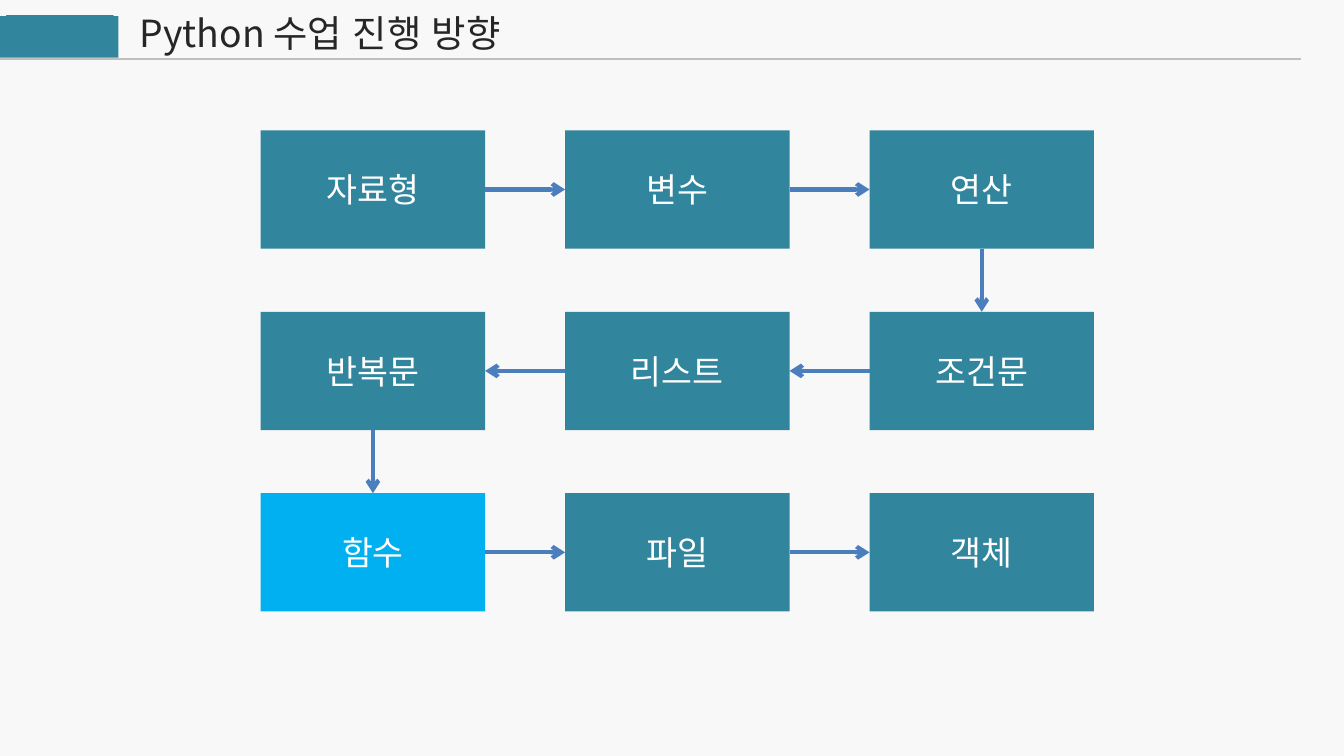
import dataclasses
import itertools

import pptx
import pptx.dml.color
import pptx.enum.lang
import pptx.enum.shapes
import pptx.enum.text
import pptx.oxml
import pptx.oxml.ns
import pptx.util

Inches = pptx.util.Inches
Kind = pptx.enum.shapes.MSO_SHAPE
Link = pptx.enum.shapes.MSO_CONNECTOR
Align = pptx.enum.text.PP_ALIGN
Anchor = pptx.enum.text.MSO_ANCHOR


@dataclasses.dataclass(frozen=True)
class Theme:
    font: str = "Noto Sans CJK KR"
    back: str = "F8F8F8"
    ink: str = "262626"
    white: str = "FFFFFF"
    teal: str = "31859C"
    bright: str = "00B0F0"
    arrow: str = "4B7EBC"
    rule: str = "BFBFBF"
    title: float = 20
    label: float = 18


@dataclasses.dataclass(frozen=True)
class Step:
    text: str
    row: int
    col: int
    fill: str


THEME = Theme()

# Lesson grid
COLS = 3
LEFT, RIGHT, TOP = 1.94, 6.47, 0.97
WIDE, HIGH = 1.67, 0.88
STEP_X, STEP_Y = (RIGHT - LEFT) / (COLS - 1), 1.35
TOPICS = ["자료형", "변수", "연산", "조건문", "리스트", "반복문",
          "함수", "파일", "객체"]
CURRENT = "함수"

# Connection sites of a rectangle
NORTH, WEST, SOUTH, EAST = range(4)


def color(code: str) -> pptx.dml.color.RGBColor:
    return pptx.dml.color.RGBColor.from_string(code)


def write(frame, text: str, size: float, code: str) -> None:
    frame.text = text
    font = frame.paragraphs[0].runs[0].font
    font.name = THEME.font
    font.size = pptx.util.Pt(size)
    font.color.rgb = color(code)
    font.language_id = pptx.enum.lang.MSO_LANGUAGE_ID.KOREAN
    east = pptx.oxml.parse_xml(
        f'<a:ea {pptx.oxml.ns.nsdecls("a")} typeface="{THEME.font}"/>')
    font._element.find(pptx.oxml.ns.qn("a:latin")).addnext(east)


def block(slide, x: float, y: float, w: float, h: float, fill: str):
    shape = slide.shapes.add_shape(
        Kind.RECTANGLE, Inches(x), Inches(y), Inches(w), Inches(h))
    shape.shadow.inherit = False
    shape.fill.solid()
    shape.fill.fore_color.rgb = color(fill)
    shape.line.fill.background()
    return shape


def line(slide, start: tuple, end: tuple, code: str, width: float):
    link = slide.shapes.add_connector(
        Link.STRAIGHT, *(Inches(n) for n in (*start, *end)))
    link.line.color.rgb = color(code)
    link.line.width = pptx.util.Pt(width)
    link._element.spPr.append(pptx.oxml.parse_xml(
        f'<a:effectLst {pptx.oxml.ns.nsdecls("a")}/>'))
    return link


def place(index: int, text: str) -> Step:
    """Rows run left to right and back again."""
    row, col = divmod(index, COLS)
    if row % 2:
        col = COLS - 1 - col
    fill = THEME.bright if text == CURRENT else THEME.teal
    return Step(text, row, col, fill)


def card(slide, step: Step):
    shape = block(slide, LEFT + step.col * STEP_X, TOP + step.row * STEP_Y,
                  WIDE, HIGH, step.fill)
    frame = shape.text_frame
    frame.vertical_anchor = Anchor.MIDDLE
    write(frame, step.text, THEME.label, THEME.white)
    frame.paragraphs[0].alignment = Align.CENTER
    return shape


def arrow(slide, first: Step, second: Step, cards: dict) -> None:
    if first.row != second.row:
        sites = SOUTH, NORTH
    elif first.col < second.col:
        sites = EAST, WEST
    else:
        sites = WEST, EAST
    link = line(slide, (0, 0), (0, 0), THEME.arrow, 2.25)
    link.begin_connect(cards[first], sites[0])
    link.end_connect(cards[second], sites[1])
    link.line._ln.append(pptx.oxml.parse_xml(
        f'<a:tailEnd {pptx.oxml.ns.nsdecls("a")} type="arrow"/>'))


def main() -> None:
    # Widescreen page, 16 by 9
    deck = pptx.Presentation()
    deck.slide_width, deck.slide_height = Inches(10), Inches(10 * 9 / 16)
    slide = deck.slides.add_slide(deck.slide_layouts[6])
    slide.background.fill.solid()
    slide.background.fill.fore_color.rgb = color(THEME.back)

    # Heading
    box = slide.shapes.add_textbox(
        Inches(0.94), Inches(0.03), Inches(4.85), Inches(0.44))
    box.text_frame.word_wrap = True
    write(box.text_frame, "Python 수업 진행 방향", THEME.title, THEME.ink)
    block(slide, -0.01, 0.12, 0.89, 0.31, THEME.teal)
    tab = block(slide, 0.05, 0.12, 0.79, 0.3, THEME.teal)
    tab.line.color.rgb = color(THEME.teal)
    tab.line.width = pptx.util.Pt(0.75)
    line(slide, (-0.01, 0.44), (9.68, 0.44), THEME.rule, 1)

    # Lesson path
    steps = [place(i, text) for i, text in enumerate(TOPICS)]
    cards = {step: card(slide, step) for step in steps}
    for first, second in itertools.pairwise(steps):
        arrow(slide, first, second, cards)

    deck.save("out.pptx")


if __name__ == "__main__":
    main()
